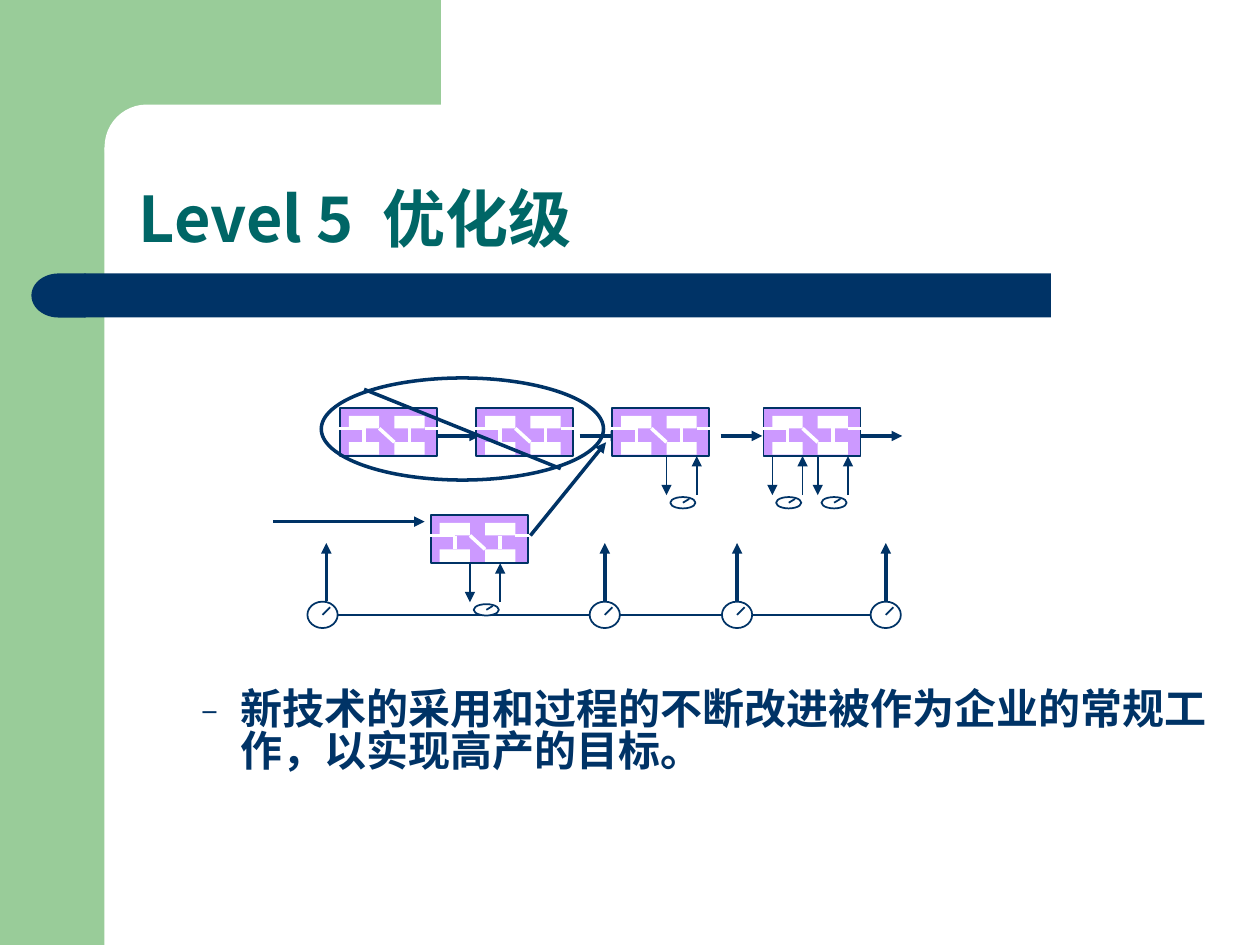
from lxml.etree import SubElement
from pptx import Presentation
from pptx.dml.color import RGBColor
from pptx.enum.shapes import MSO_CONNECTOR, MSO_SHAPE
from pptx.enum.text import MSO_ANCHOR, PP_ALIGN
from pptx.oxml.ns import qn
from pptx.util import Inches, Pt

# Content
TITLE = ("Level 5", " ", "优化级")
BODY = "新技术的采用和过程的不断改进被作为企业的常规工作，以实现高产的目标。"
FONT = "Noto Sans CJK SC"
NAVY, TEAL, GREEN, LILAC, WHITE = "003366", "006666", "99CC99", "CC99FF", "FFFFFF"
THIN, THICK = 1, 2

# Process modules: left, top, offsets of the feedback loops under them
PANEL_W, PANEL_H = 0.77, 0.38
TOP_ROW, LOW_ROW = 3.24, 4.09
MODULES = [
    (2.70, TOP_ROW, []),
    (3.78, TOP_ROW, []),
    (4.86, TOP_ROW, [0.43]),
    (6.06, TOP_ROW, [0.07, 0.43]),
    (3.42, LOW_ROW, [0.31]),
]
BLOCK_LEFTS, BLOCK_TOPS, BLOCK_SIZE = (0.07, 0.43), (0.06, 0.27), (0.24, 0.1)
UPPER, LOWER = 0.16, 0.27
LINKS = [
    (-0.05, UPPER, 0.19, UPPER),
    (0.19, UPPER, 0.19, LOWER),
    (0.31, UPPER, 0.43, LOWER),
    (0.55, LOWER, 0.55, UPPER),
    (0.67, UPPER, 0.79, UPPER),
]

# Flow arrows and the measuring line
FLOW_Y, FLOW_LENGTH = 3.46, 0.33
FLOW_STARTS = [3.48, 4.60, 5.72, 6.83]
GAUGE_Y, GAUGE_SIZE = 4.88, (0.24, 0.21)
GAUGES = [(2.56, 2.59), (4.80, 4.80), (5.85, 5.85), (7.03, 7.03)]  # dial, arrow

deck = Presentation()
deck.slide_width, deck.slide_height = Inches(10), Inches(7.5)
page = deck.slides.add_slide(deck.slide_layouts[5])


def color(value):
    return RGBColor.from_string(value)


def add_box(kind, left, top, width, height, fill=None, line=None, weight=THIN):
    box = page.shapes.add_shape(
        kind, Inches(left), Inches(top), Inches(width), Inches(height))
    box.shadow.inherit = False
    if fill:
        box.fill.solid()
        box.fill.fore_color.rgb = color(fill)
    else:
        box.fill.background()
    if line:
        box.line.color.rgb = color(line)
        box.line.width = Pt(weight)
    else:
        box.line.fill.background()
    return box


def add_line(x1, y1, x2, y2, weight=THICK, arrow=False, stroke=NAVY):
    link = page.shapes.add_connector(
        MSO_CONNECTOR.STRAIGHT, Inches(x1), Inches(y1), Inches(x2), Inches(y2))
    link.line.color.rgb = color(stroke)
    link.line.width = Pt(weight)
    if arrow:
        SubElement(link.line._get_or_add_ln(), qn("a:tailEnd"), type="triangle")
    SubElement(link._element.spPr, qn("a:effectLst"))


def add_span(para, text, **formats):
    span = para.add_run()
    span.text = text
    for name, value in {"name": FONT, "bold": True, **formats}.items():
        setattr(span.font, name, value)
    return span


def add_dial(x, y, size, needle):
    width, height = size
    add_box(MSO_SHAPE.OVAL, x - width / 2, y - height / 2, width, height, WHITE, NAVY)
    add_line(x, y, x + needle[0], y - needle[1], THIN)


def add_module(left, top):
    add_box(MSO_SHAPE.RECTANGLE, left, top, PANEL_W, PANEL_H, LILAC, NAVY)
    for dx in BLOCK_LEFTS:
        for dy in BLOCK_TOPS:
            add_box(MSO_SHAPE.RECTANGLE, left + dx, top + dy, *BLOCK_SIZE, WHITE)
    for x1, y1, x2, y2 in LINKS:
        add_line(left + x1, top + y1, left + x2, top + y2, stroke=WHITE)


def add_feedback(x, y):
    depth, gap = 0.31, 0.24
    add_dial(x + 0.13, y + 0.37, (0.2, 0.09), (0.05, 0.03))
    add_line(x, y, x, y + depth, THIN, arrow=True)
    add_line(x + gap, y + depth, x + gap, y, THIN, arrow=True)


# Frame
add_box(MSO_SHAPE.RECTANGLE, 0, 0, 0.83, 7.5, GREEN)
add_box(MSO_SHAPE.RECTANGLE, 0.75, 0, 2.75, 1.17, GREEN)
corner = add_box(MSO_SHAPE.ROUNDED_RECTANGLE, 0.83, 0.83, 5.58, 0.67, WHITE)
corner.adjustments[0] = 0.5
add_box(MSO_SHAPE.RECTANGLE, 0.67, 2.17, 7.67, 0.35, NAVY)
cap = add_box(MSO_SHAPE.FLOWCHART_DELAY, 0.25, 2.17, 0.43, 0.35, NAVY)
cap._element.spPr.xfrm.set("flipH", "1")

# Title, brought in front of the frame
title = page.shapes.title
title.element.getparent().append(title.element)
title.left, title.top, title.width, title.height = map(Inches, (1, 0.83, 8.75, 1.25))
title.text_frame.vertical_anchor = MSO_ANCHOR.BOTTOM
para = title.text_frame.paragraphs[0]
para.alignment, para.line_spacing = PP_ALIGN.LEFT, 0.9
level, space, label = [
    add_span(para, text, size=Pt(36)) for text in TITLE]
for span in (level, space, label):
    span.font.color.rgb = color(TEAL)
space._r.get_or_add_rPr().set("spc", "800")

# Body text with a dash bullet
body = page.shapes.add_textbox(Inches(1), Inches(5.44), Inches(8.75), Inches(0.95))
body.text_frame.word_wrap = True
para = body.text_frame.paragraphs[0]
para.line_spacing = 0.82
add_span(para, BODY, size=Pt(24)).font.color.rgb = color(NAVY)
props = para._p.get_or_add_pPr()
props.set("marL", str(Inches(0.81)))
props.set("indent", str(Inches(-0.31)))
SubElement(SubElement(props, qn("a:buClr")), qn("a:srgbClr"), val=NAVY)
SubElement(props, qn("a:buSzPct"), val="75000")
SubElement(props, qn("a:buFont"), typeface=FONT)
SubElement(props, qn("a:buChar"), char="–")

# Flow arrows
add_line(2.17, 4.14, 3.37, 4.14, arrow=True)
for start in FLOW_STARTS:
    add_line(start, FLOW_Y, start + FLOW_LENGTH, FLOW_Y, arrow=True)

# Measuring line with its gauges
add_line(GAUGES[0][0], GAUGE_Y, GAUGES[-1][0], GAUGE_Y, THIN)
for dial_x, arrow_x in GAUGES:
    add_line(arrow_x, 4.77, arrow_x, 4.31, arrow=True)
    add_dial(dial_x, GAUGE_Y, GAUGE_SIZE, (0.06, 0.06))

# Modules, then the replaced pair struck out
for left, top, loops in MODULES:
    add_module(left, top)
    for offset in loops:
        add_feedback(left + offset, top + PANEL_H)
add_line(4.21, 4.25, 4.81, 3.51, arrow=True)
add_box(MSO_SHAPE.OVAL, 2.55, 3, 2.24, 0.81, line=NAVY, weight=THICK)
add_line(2.89, 3.09, 4.45, 3.72)

deck.save("out.pptx")
